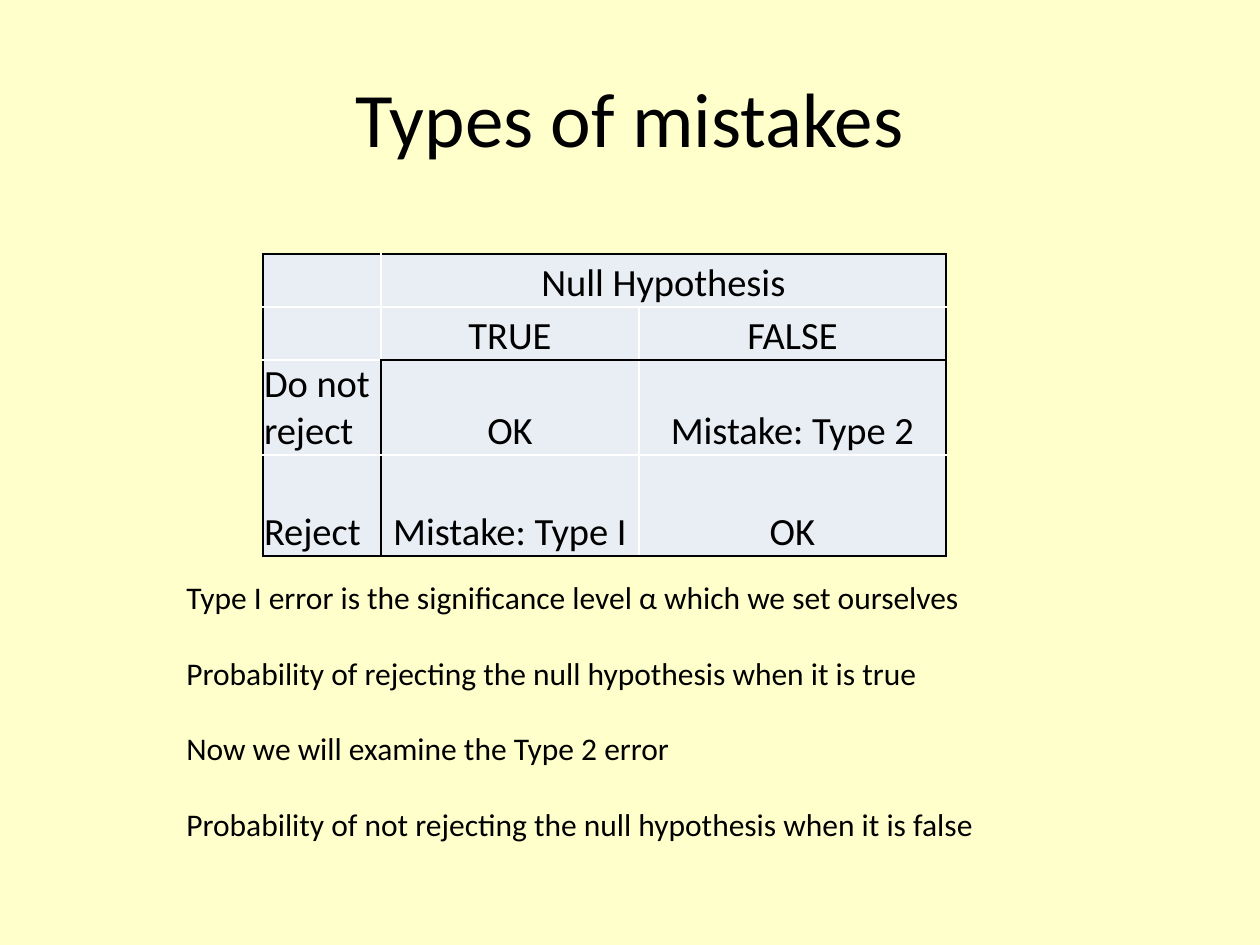
from lxml.etree import SubElement
from pptx import Presentation
from pptx.dml.color import RGBColor
from pptx.enum.text import MSO_ANCHOR, MSO_AUTO_SIZE, PP_ALIGN
from pptx.oxml.ns import qn
from pptx.util import Emu, Pt

PIXEL = 914400 // 126
FONT = "Calibri"
COLOURS = {"page": "FFFFCC", "cell": "E9EDF4", "text": "000000", "dark": "000000", "light": "FFFFFF"}
COLUMN_WIDTHS = [118, 258, 307]
ROW_HEIGHTS = [53, 53, 95, 101]
CELL_TEXTS = [
    ["", "Null Hypothesis", ""],
    ["", "TRUE", "FALSE"],
    ["Do not reject", "OK", "Mistake: Type 2"],
    ["Reject", "Mistake: Type I", "OK"],
]
NOTES = [
    "Type I error is the significance level α which we set ourselves",
    "Probability of rejecting the null hypothesis when it is true",
    "Now we will examine the Type 2 error",
    "Probability of not rejecting the null hypothesis when it is false",
]


def px(count):
    return Emu(count * PIXEL)


def colour(name):
    return RGBColor.from_string(COLOURS[name])


def style(paragraph, size, alignment=PP_ALIGN.LEFT):
    paragraph.alignment = alignment
    paragraph.font.name = FONT
    paragraph.font.size = Pt(size)
    paragraph.font.color.rgb = colour("text")


def add_title(page, text):
    title = page.shapes.title
    title.left, title.top, title.width, title.height = map(px, (63, 38, 1134, 157))
    title.text_frame.text = text
    title.text_frame.vertical_anchor = MSO_ANCHOR.MIDDLE
    style(title.text_frame.paragraphs[0], 44, PP_ALIGN.CENTER)


def add_border(cell, side, shade):
    line = SubElement(cell._tc.get_or_add_tcPr(), qn(f"a:ln{side}"), w=str(Pt(1)))
    fill = SubElement(line, qn("a:solidFill"))
    SubElement(fill, qn("a:srgbClr"), val=COLOURS[shade])


def edge_shades(row, column, span):
    last_row, last_column = len(ROW_HEIGHTS), len(COLUMN_WIDTHS)

    def vertical(edge):
        return edge in (0, last_column) or (edge == 1 and row >= 2)

    def horizontal(edge):
        return edge in (0, last_row) or (edge == 2 and column >= 1)

    edges = {
        "L": vertical(column),
        "R": vertical(column + span),
        "T": horizontal(row),
        "B": horizontal(row + 1),
    }
    return {side: "dark" if dark else "light" for side, dark in edges.items()}


def format_cell(cell, row, column):
    cell.text = CELL_TEXTS[row][column]
    cell.vertical_anchor = MSO_ANCHOR.BOTTOM
    cell.margin_left = cell.margin_right = cell.margin_top = px(1)
    cell.margin_bottom = 0
    style(cell.text_frame.paragraphs[0], 22, PP_ALIGN.CENTER if column else PP_ALIGN.LEFT)
    span = cell.span_width if cell.is_merge_origin else 1
    for side, shade in edge_shades(row, column, span).items():
        add_border(cell, side, shade)
    cell.fill.solid()
    cell.fill.fore_color.rgb = colour("cell")


def add_mistake_table(page):
    frame = page.shapes.add_table(
        len(ROW_HEIGHTS), len(COLUMN_WIDTHS), px(263), px(254),
        px(sum(COLUMN_WIDTHS)), px(sum(ROW_HEIGHTS)),
    )
    table = frame.table
    for column, width in zip(table.columns, COLUMN_WIDTHS):
        column.width = px(width)
    for row, height in zip(table.rows, ROW_HEIGHTS):
        row.height = px(height)
    table.cell(0, 1).merge(table.cell(0, 2))
    for row in range(len(ROW_HEIGHTS)):
        for column in range(len(COLUMN_WIDTHS)):
            format_cell(table.cell(row, column), row, column)


def add_notes(page):
    box = page.shapes.add_textbox(px(174), px(572), px(822), px(318))
    frame = box.text_frame
    frame.word_wrap = False
    frame.auto_size = MSO_AUTO_SIZE.SHAPE_TO_FIT_TEXT
    frame.text = "\n".join(NOTES)
    for index, paragraph in enumerate(frame.paragraphs):
        style(paragraph, 18)
        paragraph.space_before = Pt(21.6 if index else 0)


def main():
    deck = Presentation()
    deck.slide_width, deck.slide_height = px(1260), px(945)
    page = deck.slides.add_slide(deck.slide_layouts[5])
    page.background.fill.solid()
    page.background.fill.fore_color.rgb = colour("page")
    add_title(page, "Types of mistakes")
    add_mistake_table(page)
    add_notes(page)
    deck.save("out.pptx")


main()
